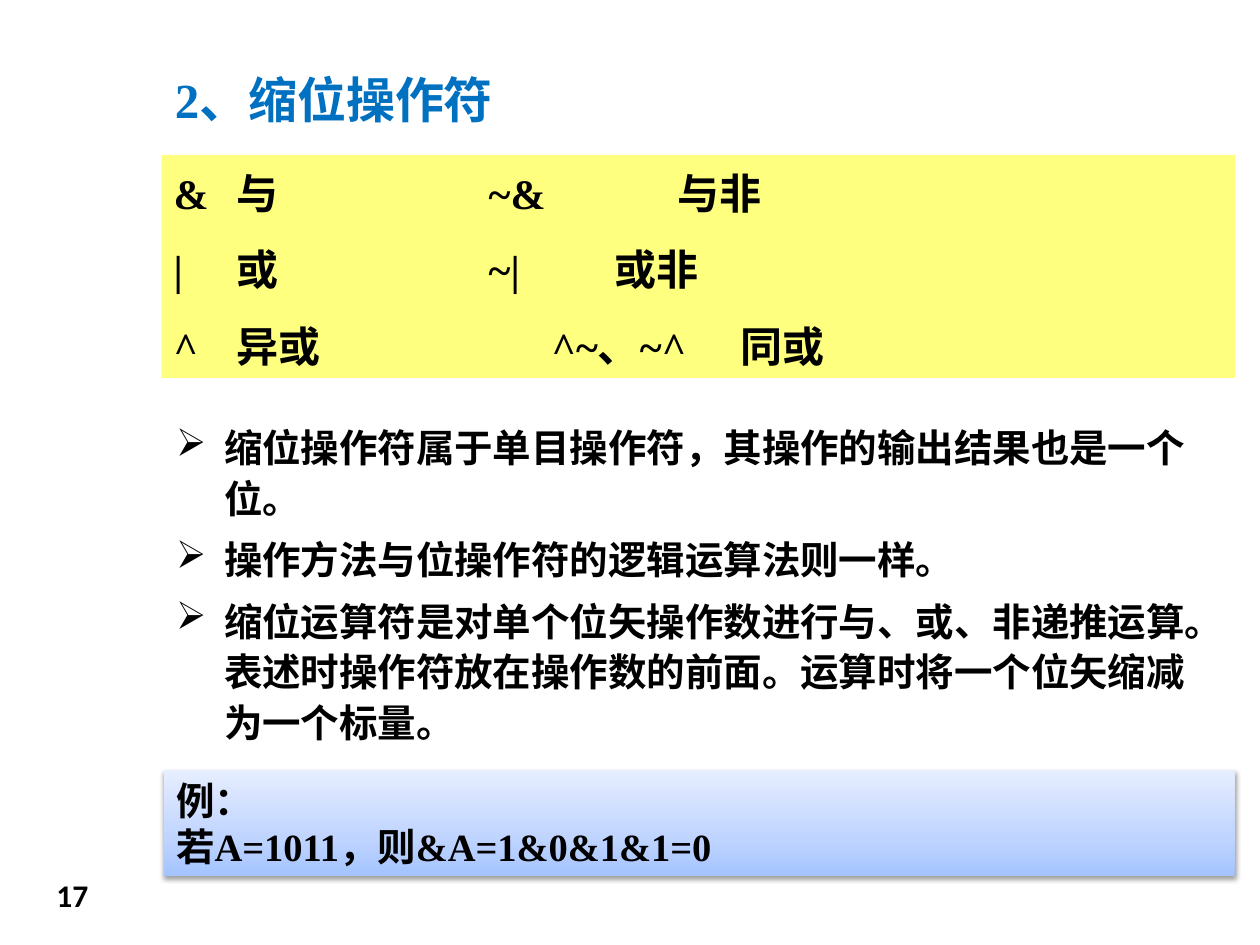
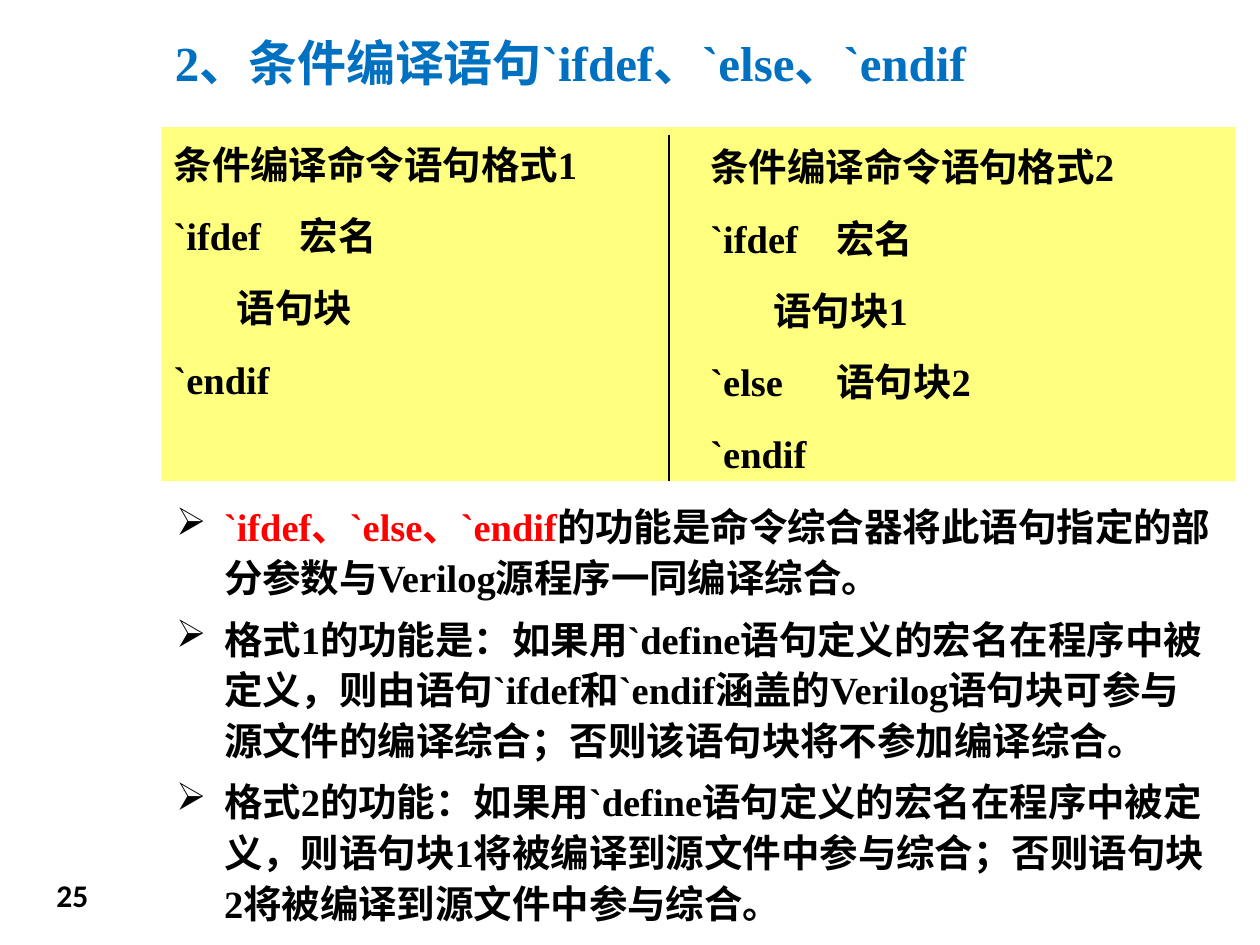
from dataclasses import dataclass

import pptx
import pptx.util
import pptx.dml.color
import pptx.enum.shapes
import pptx.enum.text
import pptx.oxml
import pptx.oxml.ns
from lxml import etree

Pt = pptx.util.Pt
qn = pptx.oxml.ns.qn
ANCHOR = pptx.enum.text.MSO_ANCHOR

HUES = {"title": "0070C0", "text": "000000", "key": "FF0000", "panel": "FFFF00",
        "low": "A4C4FF", "mid": "BFD4FF", "high": "E6EEFF"}
SERIF, SANS = "Times New Roman", "Calibri"

# Grid: 100 columns by 75 rows on a 10 x 7.5 inch slide
WIDE, HIGH = pptx.util.Inches(10), pptx.util.Inches(7.5)
COL, ROW = WIDE / 100, HIGH / 75
LEFT, SPAN = 12.8, 85.2


@dataclass
class Box:
    x: float
    y: float
    w: float
    h: float

    def emu(self) -> tuple:
        return (round(self.x * COL), round(self.y * ROW),
                round(self.w * COL), round(self.h * ROW))


@dataclass
class Style:
    size: int
    hue: str = "text"
    face: str = SERIF
    line: float = 1.0
    after: int = 0
    mark: str = ""
    anchor: object = ANCHOR.TOP


TITLE = Style(28, "title", anchor=ANCHOR.MIDDLE)
LIST = Style(22, line=1.1, after=6, mark="➢")
CODE = Style(22, line=1.1, after=12)
OPS = Style(24, line=1.1, after=12, anchor=ANCHOR.MIDDLE)
CASE = Style(22, anchor=ANCHOR.MIDDLE)
PAGE = Style(18, face=SANS)


def rgb(name: str):
    return pptx.dml.color.RGBColor.from_string(HUES[name])


def add(node, tag: str, **attrs):
    return etree.SubElement(node, qn(tag), {k: str(v) for k, v in attrs.items()})


def bullet(para, mark: str) -> None:
    props = para._p.get_or_add_pPr()
    indent = pptx.util.Inches(0.38)
    props.set("marL", str(indent))
    props.set("indent", str(-indent))
    add(add(props, "a:buClr"), "a:srgbClr", val=HUES["text"])
    add(props, "a:buChar", char=mark)


def write(shape, lines: list, style: Style) -> None:
    """Fill a shape with lines; a tuple is a coloured key and its plain rest."""
    frame = shape.text_frame
    frame.word_wrap = True
    frame.vertical_anchor = style.anchor
    for i, line in enumerate(lines):
        para = frame.paragraphs[0] if i == 0 else frame.add_paragraph()
        para.alignment = pptx.enum.text.PP_ALIGN.LEFT
        if style.mark:
            bullet(para, style.mark)
        para.line_spacing = style.line
        para.space_after = Pt(style.after)
        font = para.font
        font.name, font.size, font.bold = style.face, Pt(style.size), True
        parts = line if isinstance(line, tuple) else (line,)
        hues = ["key", style.hue] if len(parts) > 1 else [style.hue]
        for part, hue in zip(parts, hues):
            run = para.add_run()
            run.text = part
            run.font.color.rgb = rgb(hue)


def label(slide, box: Box, lines: list, style: Style) -> None:
    write(slide.shapes.add_textbox(*box.emu()), lines, style)


def rect(slide, box: Box):
    shape = slide.shapes.add_shape(pptx.enum.shapes.MSO_SHAPE.RECTANGLE, *box.emu())
    shape.shadow.inherit = False
    shape.line.fill.background()
    return shape


def panel(slide, top: float, tall: float, lines: list, style: Style):
    """Half-clear yellow band."""
    shape = rect(slide, Box(LEFT, top, SPAN, tall))
    shape.fill.solid()
    shape.fill.fore_color.rgb = rgb("panel")
    add(shape._element.spPr.find(".//" + qn("a:srgbClr")), "a:alpha", val=50000)
    write(shape, lines, style)
    return shape


def case(slide, box: Box, lines: list) -> None:
    """Blue gradient box with a soft shadow."""
    shape = rect(slide, box)
    shape.fill.gradient()
    shape.fill.gradient_angle = 90
    props = shape._element.spPr
    stops = props.find(".//" + qn("a:gsLst"))
    for old in list(stops):
        stops.remove(old)
    for pos, hue in ((0, "low"), (35, "mid"), (100, "high")):
        add(add(stops, "a:gs", pos=pos * 1000), "a:srgbClr", val=HUES[hue])
    glow = add(props.find(qn("a:effectLst")), "a:outerShdw", blurRad=Pt(3.1),
               dist=Pt(1.6), dir=90 * 60000, rotWithShape=0)
    add(add(glow, "a:srgbClr", val=HUES["text"]), "a:alpha", val=38000)
    write(shape, lines, CASE)


def rule(slide, x: float, top: float, end: float) -> None:
    ends = [round(n) for n in (x * COL, top * ROW, x * COL, end * ROW)]
    line = slide.shapes.add_connector(pptx.enum.shapes.MSO_CONNECTOR.STRAIGHT, *ends)
    line.line.color.rgb = rgb("text")
    line.line.width = Pt(0.75)
    add(line._element.spPr, "a:effectLst")


def start(deck, title: str, top: float, page: int):
    """New slide with its title and page number."""
    slide = deck.slides.add_slide(deck.slide_layouts[6])
    label(slide, Box(12.9, top, 83.6, 5.7), [title], TITLE)
    label(slide, Box(3.5, 69, 6.3, 4.5), [str(page)], PAGE)
    return slide


def reduce(deck) -> None:
    slide = start(deck, "2、缩位操作符", 5, 17)
    panel(slide, 12.3, 17.7, [
        "&\t与\t\t\t\t~& \t\t与非",
        "|\t或\t\t\t\t~|\t\t或非",
        "^\t异或\t\t\t\t^~、~^\t同或"], OPS)
    label(slide, Box(13, 32.8, 84.4, 27.1), [
        "缩位操作符属于单目操作符，其操作的输出结果也是一个位。",
        "操作方法与位操作符的逻辑运算法则一样。",
        "缩位运算符是对单个位矢操作数进行与、或、非递推运算。"
        "表述时操作符放在操作数的前面。运算时将一个位矢缩减为一个标量。"], LIST)
    case(slide, Box(13, 61.1, 85, 8.4), ["例：", "若A=1011，则&A=1&0&1&1=0"])


def branch(deck) -> None:
    slide = start(deck, "2、条件编译语句`ifdef、`else、`endif", 2.1, 25)
    # Two formats side by side
    first = panel(slide, 10.1, 28.1, [
        "条件编译命令语句格式1", "`ifdef\t宏名", "\t语句块", "`endif"], CODE)
    first.text_frame.margin_top = pptx.util.Inches(0.07)
    label(slide, Box(55.4, 10.5, 39.5, 27.8), [
        "条件编译命令语句格式2", "`ifdef\t宏名", "\t语句块1",
        "`else\t语句块2", "`endif"], CODE)
    rule(slide, 53.1, 10.7, 38.2)
    # Notes on both formats
    label(slide, Box(13, 39.1, 84.4, 35.3), [
        ("`ifdef、`else、`endif",
         "的功能是命令综合器将此语句指定的部分参数与Verilog源程序一同编译综合。"),
        "格式1的功能是：如果用`define语句定义的宏名在程序中被定义，"
        "则由语句`ifdef和`endif涵盖的Verilog语句块可参与源文件的编译综合；"
        "否则该语句块将不参加编译综合。",
        "格式2的功能：如果用`define语句定义的宏名在程序中被定义，"
        "则语句块1将被编译到源文件中参与综合；"
        "否则语句块2将被编译到源文件中参与综合。"], LIST)


def main() -> None:
    deck = pptx.Presentation()
    deck.slide_width, deck.slide_height = WIDE, HIGH
    reduce(deck)
    branch(deck)
    deck.save("out.pptx")


if __name__ == "__main__":
    main()
